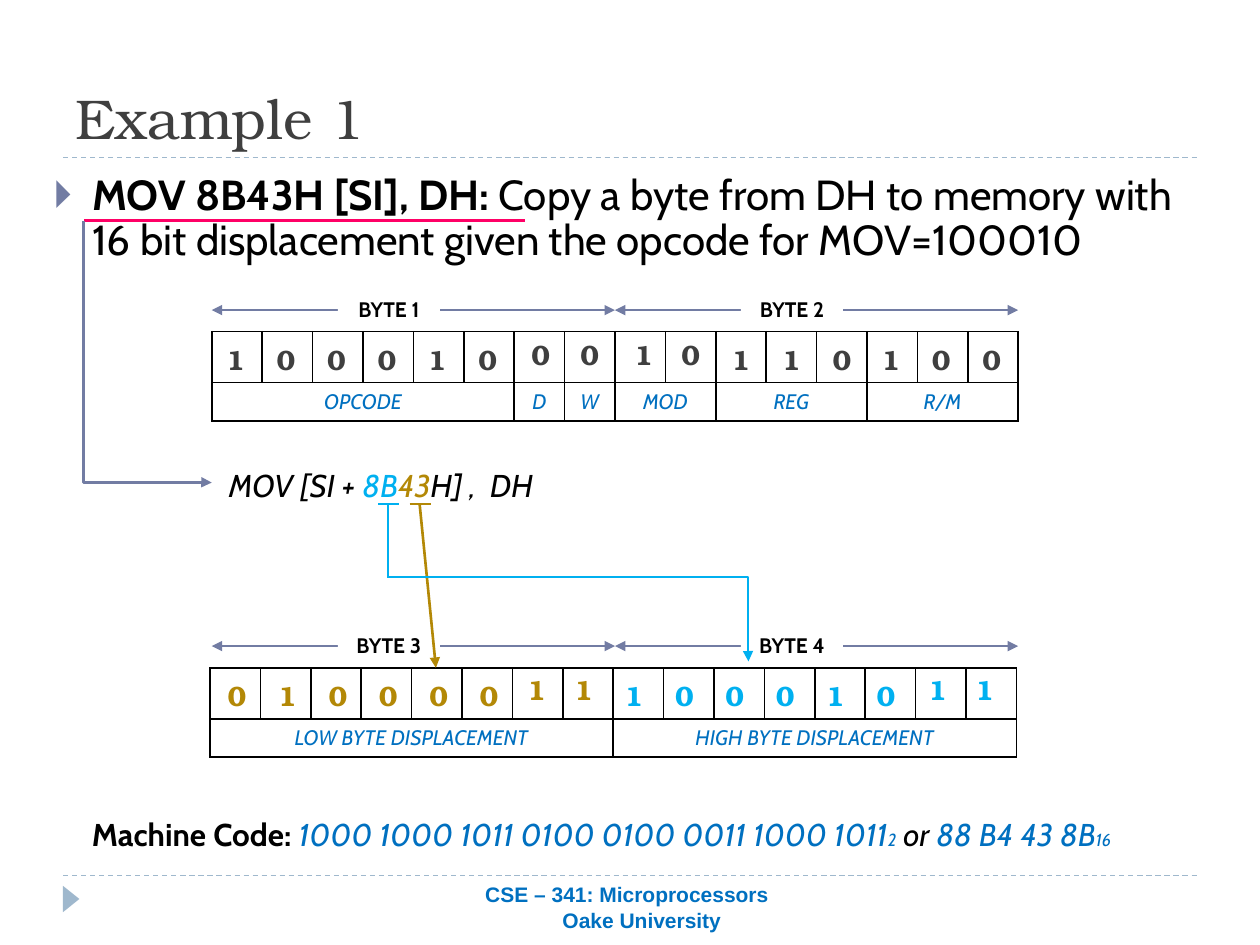
import pptx
import pptx.dml.color
import pptx.enum.dml
import pptx.enum.shapes
import pptx.enum.text
import pptx.oxml
import pptx.oxml.ns
import pptx.util

Pt = pptx.util.Pt
ALIGN = pptx.enum.text.PP_ALIGN
ANCHOR = pptx.enum.text.MSO_ANCHOR
LINK = pptx.enum.shapes.MSO_CONNECTOR
SHAPE = pptx.enum.shapes.MSO_SHAPE

THEME = {
    "ink": "000000", "dark": "3F3F3F", "blue": "0070C0", "sky": "00B0F0",
    "gold": "B38806", "slate": "727CA3", "pale": "9FB8CD", "pink": "FF0066",
    "white": "FFFFFF",
    "head": {"name": "TeX Gyre Bonum", "size": Pt(32)},
    "lead": {"name": "Cabin", "size": Pt(24)},
    "code": {"name": "Cabin", "size": Pt(18)},
    "base": {"name": "Cabin", "size": Pt(10), "italic": True},
    "field": {"name": "Cabin", "size": Pt(12), "italic": True},
    "label": {"name": "Cabin", "size": Pt(12), "bold": True},
    "bit": {"name": "TeX Gyre Bonum", "size": Pt(16), "bold": True},
    "foot": {"name": "Arial", "size": Pt(12), "bold": True},
}
BOLD = {"bold": True}
SLANT = {"italic": True}

TITLE = [("Example 1", "head", "dark", {})]
TASK = [
    ("MOV 8B43H [SI], DH: ", "lead", "ink", BOLD),
    ("Copy a byte from DH to memory with 16 bit displacement given "
     "the opcode for MOV=100010", "lead", "ink", {}),
]
CODE = [
    ("MOV [SI + ", "code", "ink", SLANT), ("8B", "code", "sky", SLANT),
    ("43", "code", "gold", SLANT), ("H] ,  DH", "code", "ink", SLANT),
]
RESULT = [
    ("Machine Code: ", "code", "ink", BOLD),
    ("1000 1000 1011 0100 0100 0011 1000 1011", "code", "blue", SLANT),
    ("2", "base", "blue", {}), (" ", "code", "blue", SLANT),
    ("or", "code", "ink", SLANT), (" 88 B4 43 8B", "code", "blue", SLANT),
    ("16", "base", "blue", {}),
]
FOOT = [("CSE – 341: Microprocessors", 0), ("Oake University", 17)]

COL = 28.8
GRIDS = [
    (121, 189.5, [("OPCODE", 6), ("D", 1), ("W", 1), ("MOD", 2), ("REG", 3), ("R/M", 3)]),
    (120, 381.6, [("LOW BYTE DISPLACEMENT", 8), ("HIGH BYTE DISPLACEMENT", 8)]),
]
BYTES = [("BYTE 1", 0, 0), ("BYTE 2", 1, 0), ("BYTE 3", 0, 1), ("BYTE 4", 1, 1)]
STRIPS = [
    ("100010", 120.2, 189.5, "dark"), ("110", 409, 190, "dark"),
    ("100", 494.6, 190, "dark"), ("010000", 121, 381.6, "gold"),
    ("100010", 347.8, 381.6, "sky"),
]
LOOSE = [
    ("0", 308.6, 189.4, "dark"), ("0", 336.6, 189.4, "dark"),
    ("1", 367.4, 189.4, "dark"), ("0", 394.3, 189.4, "dark"),
    ("1", 306.3, 381, "gold"), ("1", 333.1, 381, "gold"),
    ("1", 535.4, 381, "sky"), ("1", 562.3, 381, "sky"),
]
RULES = [(36, 500.4, 684, 500.4), (36, 90, 684, 90)]

deck = pptx.Presentation()
deck.slide_width, deck.slide_height = Pt(720), Pt(540)
slide = deck.slides.add_slide(deck.slide_layouts[1])
shapes = slide.shapes


def tint(name):
    return pptx.dml.color.RGBColor.from_string(THEME[name])


def apply(item, values):
    for key, value in values.items():
        setattr(item, key, value)


def node(up, tag, **values):
    part = pptx.oxml.parse_xml(f"<a:{tag} {pptx.oxml.ns.nsdecls('a')}/>")
    for key, value in values.items():
        part.set(key, str(value))
    up.append(part)
    return part


def write(para, runs, align=ALIGN.LEFT):
    para.alignment = align
    for text, style, color, extra in runs:
        run = para.add_run()
        run.text = text
        apply(run.font, {"bold": False, "italic": False, **THEME[style], **extra})
        run.font.color.rgb = tint(color)


def place(shape, *area):
    apply(shape, dict(zip(("left", "top", "width", "height"), map(Pt, area))))


def frame(shape, anchor=ANCHOR.TOP):
    apply(shape.text_frame, {
        "word_wrap": True, "auto_size": pptx.enum.text.MSO_AUTO_SIZE.NONE,
        "vertical_anchor": anchor})
    return shape.text_frame


def box(runs, *area, align=ALIGN.LEFT):
    shape = shapes.add_textbox(*map(Pt, area))
    write(frame(shape).paragraphs[0], runs, align)
    return shape


def block(kind, color, *area):
    shape = shapes.add_shape(kind, *map(Pt, area))
    shape.shadow.inherit = False
    shape.fill.solid()
    shape.fill.fore_color.rgb = tint(color)
    shape.line.fill.background()
    return shape


def link(ends, color, width=1.5, kind=LINK.STRAIGHT, tips=()):
    line = shapes.add_connector(kind, *map(Pt, ends))
    line.line.color.rgb = tint(color)
    line.line.width = Pt(width)
    for tip in tips:
        node(line.line._get_or_add_ln(), tip, type="triangle")
    node(line._element.spPr, "effectLst")
    if kind == LINK.ELBOW:
        node(line._element.spPr.find(".//" + pptx.oxml.ns.qn("a:avLst")),
             "gd", name="adj1", fmla="val 99900")
    return line


def table(rows, cols, left, top, heights):
    made = shapes.add_table(rows, cols, Pt(left), Pt(top), Pt(cols * COL), Pt(sum(heights))).table
    apply(made, {"first_row": False, "horz_banding": False})
    made._tbl.tblPr[0].text = "{2D5ABB26-0587-4C30-8999-92F81FD0307C}"
    for row, height in zip(made.rows, heights):
        row.height = Pt(height)
    for col in made.columns:
        col.width = Pt(COL)
    return made


def edge(cell):
    props = cell._tc.get_or_add_tcPr()
    for side in ("lnL", "lnR", "lnT", "lnB"):
        fill = node(node(props, side, w=Pt(1)), "solidFill")
        node(fill, "srgbClr", val=THEME["ink"])
    node(props, "noFill")


def grid(left, top, fields):
    made = table(2, 16, left, top, (28.8, 21.6))
    for cell in made.iter_cells():
        edge(cell)
    col = 0
    for text, span in fields:
        cell = made.cell(1, col)
        if span > 1:
            cell.merge(made.cell(1, col + span - 1))
        write(cell.text_frame.paragraphs[0], [(text, "field", "blue", {})], ALIGN.CENTER)
        col += span


def strip(bits, left, top, color):
    made = table(1, len(bits), left, top, (26.4,))
    for cell, bit in zip(made.iter_cells(), bits):
        cell.fill.background()
        write(cell.text_frame.paragraphs[0], [(bit, "bit", color, {})], ALIGN.CENTER)


for ends in RULES:
    rule = link(ends, "pale", 0.75)
    rule.line.dash_style = pptx.enum.dml.MSO_LINE.DASH
block(SHAPE.ISOSCELES_TRIANGLE, "pale", 33.1, 509, 15.1, 9.4).rotation = 90

title, body = slide.placeholders
place(title, 36, 12.2, 648, 77.8)
write(frame(title, ANCHOR.BOTTOM).paragraphs[0], TITLE)
place(body, 23.8, 95.8, 671.8, 388.8)
body.fill.solid()
body.fill.fore_color.rgb = tint("white")
para = frame(body).paragraphs[0]
write(para, TASK)
apply(para, {"line_spacing": 0.9, "space_before": Pt(0)})
props = para._p.get_or_add_pPr()
for key, value in {"marL": Pt(21.6), "indent": -Pt(21.6)}.items():
    props.set(key, str(value))
node(node(props, "buClr"), "srgbClr", val=THEME["slate"])
node(props, "buChar", char="🞂")

box(CODE, 123.8, 262.8, 192.2, 28.8)
for spread in GRIDS:
    grid(*spread)
for text, col, row in BYTES:
    left, mid = 121 + col * 8 * COL, 177.2 + row * 192
    link((left, mid, left + 8 * COL, mid), "slate", 0.75, tips=("headEnd", "tailEnd"))
    label = block(SHAPE.RECTANGLE, "white", left + 72, mid - 11.6, 58.3, 21.8)
    write(frame(label, ANCHOR.MIDDLE).paragraphs[0], [(text, "label", "ink", {})], ALIGN.CENTER)

link((48.2, 126, 300.2, 126), "pink", 2.25)
for group in STRIPS:
    strip(*group)
for bit, mid, top, color in LOOSE:
    box([(bit, "bit", color, {})], mid - 12, top, 24, 26.6, align=ALIGN.CENTER)

turn = link((9.4, 164.2, 159.1, 237.6), "slate", kind=LINK.ELBOW, tips=("tailEnd",))
for key, value in {"rot": "16200000", "flipH": "1"}.items():
    turn._element.spPr.xfrm.set(key, value)
link((239.8, 288, 249.1, 381.6), "gold", tips=("tailEnd",))
link((234, 288, 246.2, 288), "gold")
link((216, 288, 228.2, 288), "sky")
link((221.8, 288, 221.8, 330.5), "sky")
link((221.8, 329.8, 427.7, 378), "sky", kind=LINK.ELBOW, tips=("tailEnd",))

box(RESULT, 45.4, 462.2, 617.8, 28.8)
foot = frame(box([], 178.3, 500.4, 360, 28.8))
for num, (text, inset) in enumerate(FOOT):
    para = foot.add_paragraph() if num else foot.paragraphs[0]
    write(para, [(text, "foot", "blue", {})], ALIGN.CENTER)
    para._p.get_or_add_pPr().set("marL", str(Pt(inset)))

deck.save("out.pptx")
